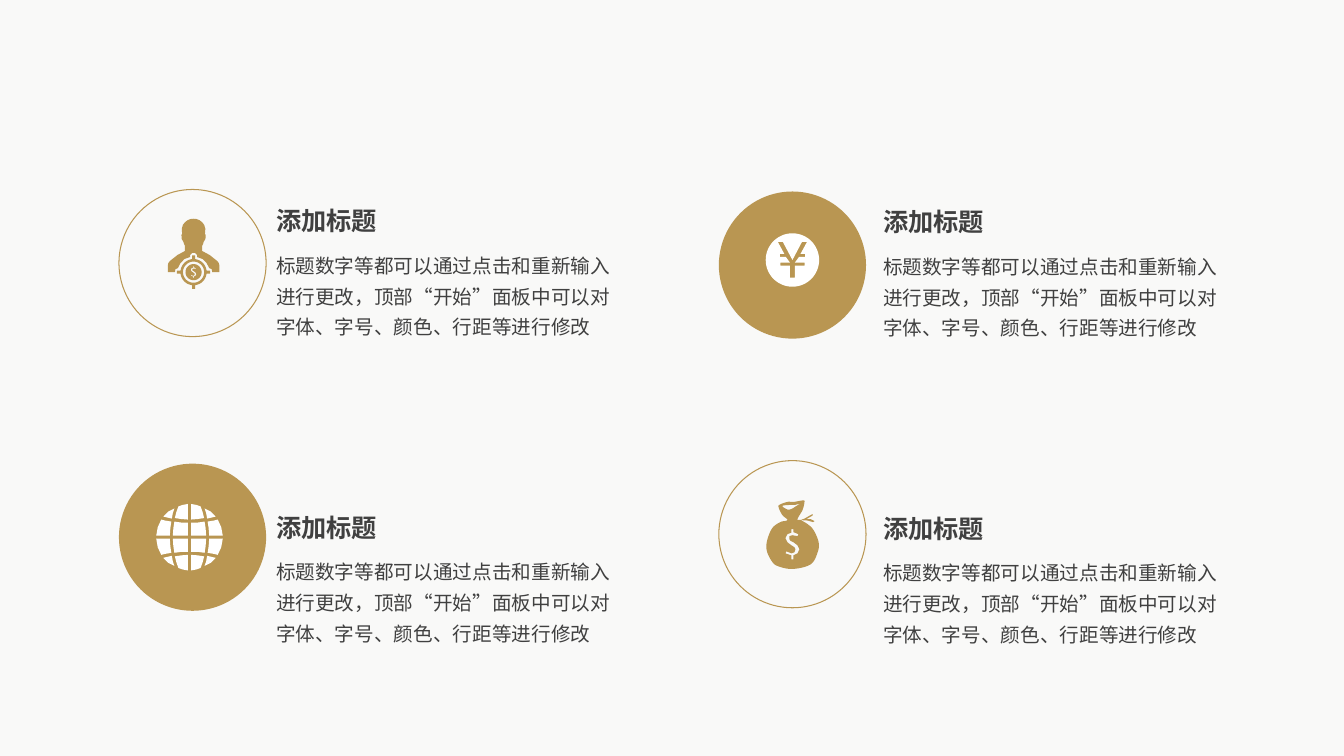
"""Build a slide of four gold icons, each with a heading and a paragraph."""
import math

import lxml.etree
import pptx
import pptx.dml.color
import pptx.enum.shapes
import pptx.enum.text
import pptx.oxml.ns
import pptx.util

Inches = pptx.util.Inches
COLORS = {"paper": "F9F9F8", "gold": "B99652", "white": "FFFFFF", "ink": "404040"}
FONT = "Noto Sans CJK SC"
HEAD = "添加标题"
BODY = "标题数字等都可以通过点击和重新输入进行更改，顶部“开始”面板中可以对字体、字号、颜色、行距等进行修改"
SIZE = 1.46

DOLLAR = [
    (1, 11), (1, 15), (-1, 15), (-1, 11), (-7, 9), (-6, 7), (-1, 9), (2, 8),
    (3, 5), (2, 3), (-1, 1), (-5, -2), (-7, -6), (-5, -10), (-1, -11.5),
    (-1, -15), (1, -15), (1, -12), (6, -10), (5, -8), (0, -9), (-3, -8),
    (-3, -5), (-2, -3.5), (1, -2), (5, 1), (7, 5), (5, 9),
]
YEN = [
    (0, 0), (9.5, -18), (14.5, -18), (8, -6), (12.5, -6), (12.5, -3),
    (6.5, -3), (2.5, 2.5), (12, 2.5), (12, 5.5), (2.5, 5.5), (2.5, 17.5),
]
BUST = [
    (0, -53), (3, -52.7), (6, -51.5), (8.5, -49.5), (10.5, -47), (11.7, -43),
    (11.3, -38), (12, -37), (11.8, -33), (10, -30), (9.5, -28), (8.5, -26),
    (8.5, -21), (16, -17), (23.5, -11), (25, -9), (25.5, -7), (25.5, 0),
    (18.5, 0), (18, -3), (15.5, -4), (13, -9), (9, -13), (3.5, -15),
    (3.5, -17), (1.5, -19),
]
SACK = [
    (21, -14), (26, -2), (25, 8), (18, 20), (0, 24.5), (-15, 21.5), (-21, 16),
    (-25.5, 6), (-25, -4), (-20, -16), (-12, -22), (-5, -24), (-10, -29),
    (-13.5, -36), (-13, -39), (-5, -42), (1, -42), (7, -43), (11, -43.5),
    (12, -42), (10, -34), (5, -25), (8, -24), (15, -20),
]
MOUTH = [(-3, -39), (2, -39), (7, -40), (4, -38), (-1, -35), (-5, -34.5), (-10, -38)]
STRING = [
    (8, -24), (12, -25.5), (20, -30), (20, -28.5), (14, -25), (18, -25),
    (22, -23), (20.5, -22), (15, -23.5),
]
GLOBE = [
    [(1.5, 33), (7, 32), (11, 30.5), (13, 25), (14.5, 19), (8, 18), (1.5, 17.5)],
    [(15, 28.5), (21, 25.5), (26, 20.5), (22, 19.5), (17.5, 18.5), (16.5, 24)],
    [(1.5, 1.5), (16.5, 1.5), (16, 9), (15, 15.5), (8, 14.5), (1.5, 14.5)],
    [(19.5, 1.5), (33, 1.5), (31.5, 10), (28, 17.5), (24, 16.5), (18, 15.5), (19, 9)],
]


def paint(item, color):
    item.solid()
    item.fore_color.rgb = pptx.dml.color.RGBColor.from_string(COLORS[color])


def scale(loop, across, down):
    return [(x * across, y * down) for x, y in loop]


def mirror(half):
    return half + scale(half[::-1], -1, 1)


def disc(radius, count=60):
    turns = [2 * math.pi * i / count for i in range(count)]
    return [(radius * math.cos(t), radius * math.sin(t)) for t in turns]


def bend(loop, steps=6):
    curve = []
    for i in range(len(loop)):
        knots = [loop[(i + k) % len(loop)] for k in (-1, 0, 1, 2)]
        for t in (n / steps for n in range(steps)):
            curve.append(tuple(
                b + t * ((c - a) + t * ((2 * a - 5 * b + 4 * c - d)
                                        + t * (3 * b - a - 3 * c + d))) / 2
                for a, b, c, d in zip(*knots)))
    return curve


def sight():
    ticks = []
    for turn in range(4):
        angle = turn * math.pi / 2
        for x, y in [(13, -1.5), (16.5, -1.5), (16.5, 1.5), (13, 1.5)]:
            ticks.append((x * math.cos(angle) - y * math.sin(angle),
                          x * math.sin(angle) + y * math.cos(angle)))
        ticks += [(13 * math.cos(angle + step * math.pi / 20),
                   13 * math.sin(angle + step * math.pi / 20)) for step in range(1, 10)]
    return [ticks, disc(10.5), disc(8), scale(DOLLAR, 0.4, 0.4)]


def icon(slide, left, top, loops, color):
    """Draw closed loops, given in hundredths of an inch around a centre."""
    pen = None
    for loop in loops:
        spots = [(Inches(left + x / 100), Inches(top + y / 100)) for x, y in loop]
        if pen is None:
            pen = slide.shapes.build_freeform(*spots[0])
        else:
            pen.move_to(*spots[0])
        pen.add_line_segments(spots[1:], close=True)
    shape = pen.convert_to_shape()
    shape.shadow.inherit = False
    paint(shape.fill, color)
    shape.line.fill.background()


def badge(slide, left, top, solid):
    shape = slide.shapes.add_shape(
        pptx.enum.shapes.MSO_SHAPE.OVAL,
        Inches(left), Inches(top), Inches(SIZE), Inches(SIZE))
    shape.shadow.inherit = False
    if solid:
        paint(shape.fill, "gold")
        shape.line.fill.background()
    else:
        shape.fill.background()
        paint(shape.line.fill, "gold")
        shape.line.width = pptx.util.Pt(0.75)


def label(slide, text, left, top, width, height, size=14, bold=False, space=1.0, wrap=True):
    box = slide.shapes.add_textbox(Inches(left), Inches(top), Inches(width), Inches(height))
    frame = box.text_frame
    frame.word_wrap = wrap
    frame.auto_size = pptx.enum.text.MSO_AUTO_SIZE.SHAPE_TO_FIT_TEXT
    para = frame.paragraphs[0]
    para.line_spacing = space
    run = para.add_run()
    run.text = text
    run.font.size = pptx.util.Pt(size)
    run.font.bold = bold
    run.font.name = FONT
    paint(run.font.fill, "ink")
    east = lxml.etree.SubElement(run.font._element, pptx.oxml.ns.qn("a:ea"))
    east.set("typeface", FONT)


def main():
    deck = pptx.Presentation()
    deck.slide_width, deck.slide_height = Inches(13.33), Inches(7.5)
    slide = deck.slides.add_slide(deck.slide_layouts[6])
    paint(slide.background.fill, "paper")

    for left, top, solid in [(1.18, 1.88, False), (7.13, 1.9, True),
                             (1.18, 4.6, True), (7.13, 4.57, False)]:
        badge(slide, left, top, solid)

    globe = [scale(cell, x, y) for x in (-1, 1) for y in (-1, 1) for cell in GLOBE]
    icon(slide, 1.92, 2.7, [mirror(BUST)] + sight(), "gold")
    icon(slide, 7.86, 2.58, [disc(26.5), mirror(YEN)], "white")
    icon(slide, 1.88, 5.33, globe, "white")
    icon(slide, 7.86, 5.4, [bend(SACK), bend(MOUTH), STRING, DOLLAR], "gold")

    for left, top in [(2.64, 1.99), (8.66, 2.0), (2.64, 5.03), (8.66, 5.04)]:
        label(slide, HEAD, left, top, 1.2, 0.4, size=18, bold=True, wrap=False)
        label(slide, BODY, left, top + 0.41, 3.6, 1.02, space=1.3)

    deck.save("out.pptx")


if __name__ == "__main__":
    main()
